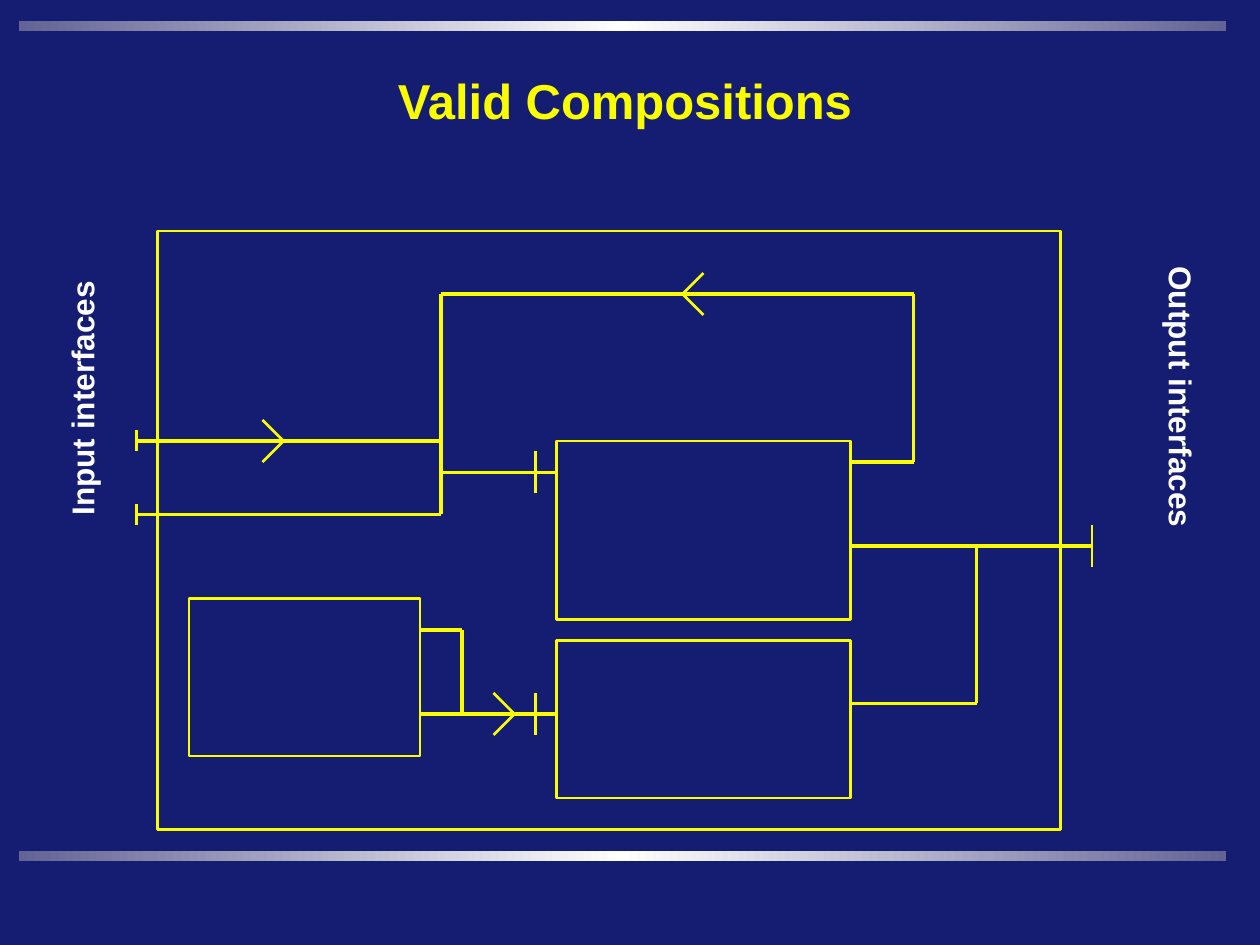
from copy import deepcopy
from itertools import pairwise

from pptx import Presentation
from pptx.dml.color import RGBColor
from pptx.enum.shapes import MSO_CONNECTOR as Connector, MSO_SHAPE as Shape
from pptx.enum.text import MSO_ANCHOR as Anchor, MSO_AUTO_SIZE as AutoSize, PP_ALIGN as Align
from pptx.oxml.ns import qn
from pptx.util import Inches, Pt

NAVY, YELLOW, WHITE = "141D72", "FAFD00", "FFFFFF"
THIN, THICK = 1.5, 2.25

# Diagram positions are columns and rows of a grid with 12 cells to the inch.
BOXES = [(15, 22, 86, 57), (53, 42, 28, 17), (53, 61, 28, 15), (18, 57, 22, 15)]
WIRES = [
    [(81, 44), (87, 44), (87, 28), (42, 28), (42, 49), (13, 49)],
    [(13, 42), (42, 42)],
    [(42, 45), (53, 45)],
    [(81, 52), (104, 52)],
    [(93, 52), (93, 67), (81, 67)],
    [(40, 68), (53, 68)],
    [(40, 60), (44, 60), (44, 68)],
]
# column, row, half height, line width
PORTS = [(13, 42, 1, THICK), (13, 49, 1, THICK), (51, 45, 2, THICK),
         (51, 68, 2, THICK), (104, 52, 2, THIN)]
# column and row of the tip, direction of flow
ARROWS = [(27, 42, 1), (49, 68, 1), (65, 28, -1)]


def cell(count):
    return Inches(count / 12)


def paint(color_format, color):
    color_format.rgb = RGBColor.from_string(color)


def format_text(frame, text, size, color):
    frame.text = text
    para = frame.paragraphs[0]
    para.alignment = Align.CENTER
    font = para.runs[0].font
    font.name, font.size, font.bold = "Arial", Pt(size), True
    paint(font.color, color)


def add_bar(page, top):
    """Add a full-width rule that fades from a bright middle to both ends."""
    bar = page.shapes.add_shape(Shape.RECTANGLE, Inches(0.15), Inches(top),
                                Inches(9.58), Inches(0.08))
    bar.shadow.inherit = False
    bar.line.fill.background()
    bar.fill.gradient()
    bar.fill.gradient_angle = 0
    stop_list = bar._element.spPr.find(qn("a:gradFill")).find(qn("a:gsLst"))
    stop_list.append(deepcopy(stop_list[0]))
    stops = zip(bar.fill.gradient_stops, (0, 0.5, 1), ("636395", "FEFEFE", "636395"))
    for stop, position, color in stops:
        stop.position = position
        paint(stop.color, color)


def add_box(page, *bounds):
    box = page.shapes.add_shape(Shape.RECTANGLE, *map(cell, bounds))
    box.shadow.inherit = False
    box.fill.background()
    paint(box.line.color, YELLOW)
    box.line.width = Pt(THIN)


def add_wire(page, points, width=THICK):
    """Join the points with straight lines."""
    for start, end in pairwise(points):
        line = page.shapes.add_connector(Connector.STRAIGHT, *map(cell, start + end))
        paint(line.line.color, YELLOW)
        line.line.width = Pt(width)
        spPr = line._element.spPr
        spPr.append(spPr.makeelement(qn("a:effectLst"), {}))


def add_port(page, column, row, half, width):
    add_wire(page, [(column, row - half), (column, row + half)], width)


def add_arrow(page, column, row, direction):
    back = column - 2 * direction
    add_wire(page, [(back, row - 2), (column, row), (back, row + 2)], THIN)


def add_side_label(page, text, left, top, width, rotation):
    label = page.shapes.add_textbox(Inches(left), Inches(top), Inches(width), Inches(0.4))
    label.rotation = rotation
    label.text_frame.word_wrap = False
    label.text_frame.auto_size = AutoSize.SHAPE_TO_FIT_TEXT
    format_text(label.text_frame, text, 18, WHITE)


def set_title(page, text):
    title = page.shapes.title
    title.left, title.top = Inches(0.44), Inches(0.33)
    title.width, title.height = Inches(9.04), Inches(0.92)
    title.text_frame.vertical_anchor = Anchor.MIDDLE
    format_text(title.text_frame, text, 28, YELLOW)


def main():
    deck = Presentation()
    deck.slide_width, deck.slide_height = Inches(10), Inches(7.5)
    page = deck.slides.add_slide(deck.slide_layouts[5])
    page.background.fill.solid()
    paint(page.background.fill.fore_color, NAVY)

    for top in (0.17, 6.75):
        add_bar(page, top)
    set_title(page, "Valid Compositions")
    for bounds in BOXES:
        add_box(page, *bounds)
    for points in WIRES:
        add_wire(page, points)
    for port in PORTS:
        add_port(page, *port)
    for arrow in ARROWS:
        add_arrow(page, *arrow)
    add_side_label(page, "Input interfaces", -0.38, 2.96, 2.06, 270)
    add_side_label(page, "Output interfaces", 8.24, 2.95, 2.27, 90)
    deck.save("out.pptx")


if __name__ == "__main__":
    main()
